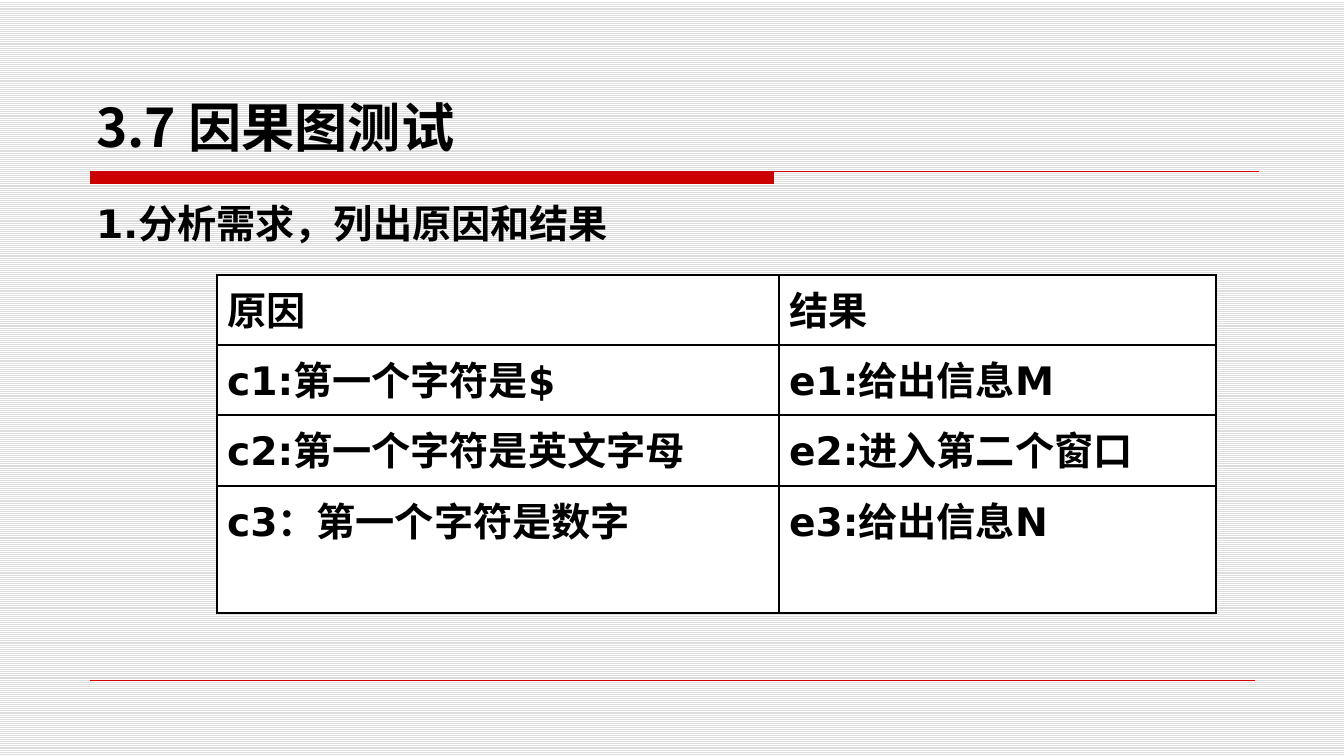
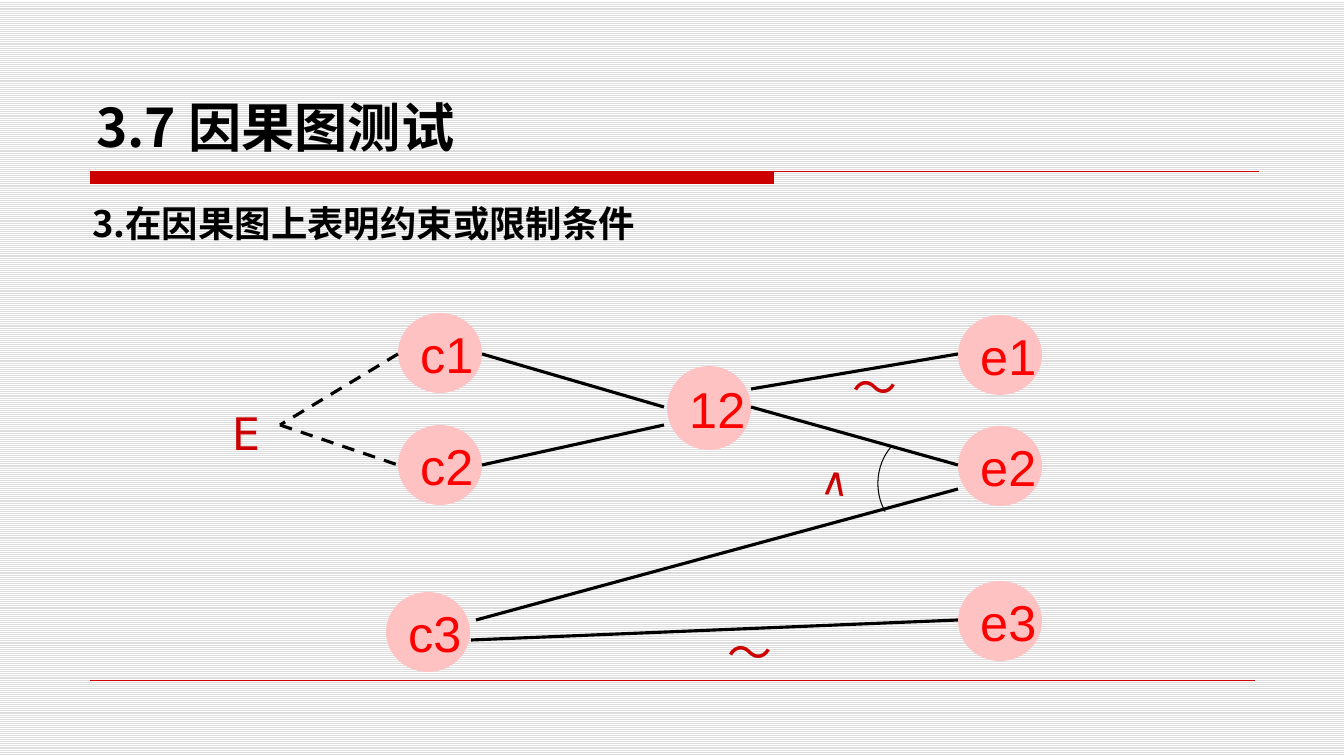
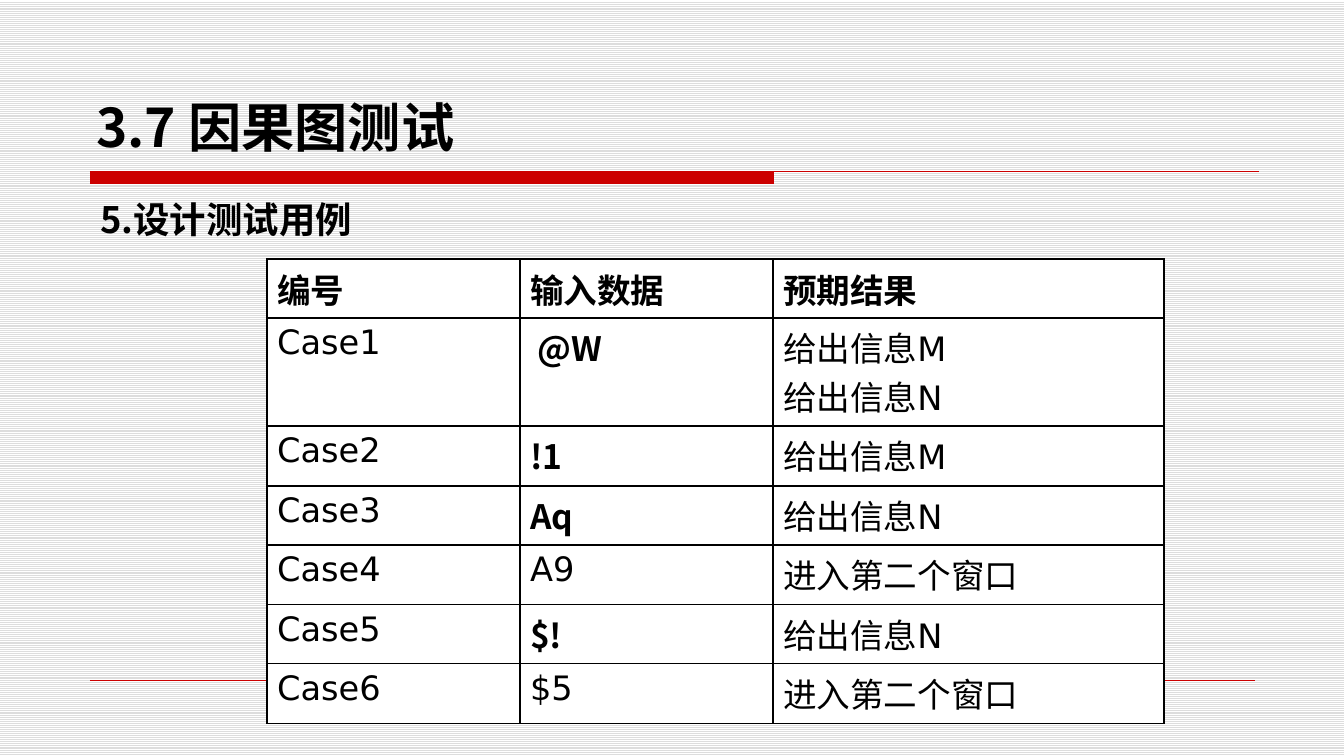
from pptx import Presentation
from pptx.dml.color import RGBColor
from pptx.enum.dml import MSO_LINE, MSO_PATTERN
from pptx.enum.shapes import MSO_CONNECTOR, MSO_SHAPE
from pptx.enum.text import MSO_ANCHOR, MSO_AUTO_SIZE, PP_ALIGN
from pptx.oxml import parse_xml
from pptx.oxml.ns import nsdecls
from pptx.util import Pt
from lxml.etree import SubElement
from pptx.oxml.ns import qn

PX = 9071
HUES = {"ink": "000000", "red": "CC0000", "node": "FFC2C2", "name": "FF0000",
        "paper": "FFFFFF", "stripe": "DDDDDD"}
HUE = {key: RGBColor.from_string(code) for key, code in HUES.items()}
CJK, LATIN, ARIAL = "Noto Sans CJK SC", "DejaVu Sans", "Arial"


def ink(frame, size, face, hue="ink", bold=False):
    for para in frame.paragraphs:
        for run in para.runs:
            font = run.font
            font.size, font.bold = Pt(size), bold
            font.color.rgb = HUE[hue]
            font.name = face
            SubElement(run._r.get_or_add_rPr(), qn("a:ea")).set("typeface", CJK)


def line(shapes, ends, hue, width):
    stroke = shapes.add_connector(MSO_CONNECTOR.STRAIGHT, *(v * PX for v in ends))
    stroke.line.color.rgb = HUE[hue]
    stroke.line.width = Pt(width)
    SubElement(stroke.element.spPr, qn("a:effectLst"))
    return stroke


deck = Presentation()
deck.slide_width, deck.slide_height = 1344 * PX, 756 * PX
layout = deck.slide_layouts[1]
for holder in list(layout.placeholders)[2:]:
    holder.element.getparent().remove(holder.element)

back = deck.slide_master.background.fill
back.patterned()
back.pattern = MSO_PATTERN.LIGHT_HORIZONTAL
back.fore_color.rgb = HUE["stripe"]
back.back_color.rgb = HUE["paper"]

heads = [
    ("1.分析需求，列出原因和结果", (86, 180, 1171, 557), 28, LATIN),
    ("3.在因果图上表明约束或限制条件", (82, 183, 869, 557), 26, CJK),
    ("5.设计测试用例", (90, 179, 869, 557), 26, CJK),
]
for text, box, size, face in heads:
    slide = deck.slides.add_slide(layout)
    title, body = slide.placeholders
    title.left, title.top, title.width, title.height = (v * PX for v in (86, 29, 882, 134))
    frame = title.text_frame
    frame.text = "3.7 因果图测试"
    frame.vertical_anchor = MSO_ANCHOR.BOTTOM
    frame.auto_size = MSO_AUTO_SIZE.NONE
    frame.paragraphs[0].alignment = PP_ALIGN.LEFT
    ink(frame, 38, CJK, bold=True)

    body.left, body.top, body.width, body.height = (v * PX for v in box)
    frame = body.text_frame
    frame.text = text
    frame.auto_size = MSO_AUTO_SIZE.NONE
    para = frame.paragraphs[0]
    para.alignment = PP_ALIGN.JUSTIFY
    para.line_spacing = 1.3
    para.space_before = Pt(size * 0.2)
    props = para._p.get_or_add_pPr()
    props.set("marL", "0")
    props.set("indent", "0")
    SubElement(props, qn("a:buNone"))
    ink(frame, size, face, bold=True)

needs, graph, cases = deck.slides

band = needs.shapes.add_shape(MSO_SHAPE.RECTANGLE, *(v * PX for v in (90, 172, 684, 12)))
band.shadow.inherit = False
band.fill.solid()
band.fill.fore_color.rgb = HUE["red"]
band.line.fill.background()
rule = line(needs.shapes, (90, 172, 1259, 172), "red", 0.75)
foot = line(needs.shapes, (90, 680, 1255, 680), "red", 0.25)
for part in (band, rule, foot):
    layout.shapes.element.append(part.element)

causes = [
    ("原因", "结果"),
    ("c1:第一个字符是$", "e1:给出信息M"),
    ("c2:第一个字符是英文字母", "e2:进入第二个窗口"),
    ("c3：第一个字符是数字", "e3:给出信息N"),
]
tests = [
    ("编号", "输入数据", "预期结果"),
    ("Case1", " @W", "给出信息M\n给出信息N"),
    ("Case2", "!1", "给出信息M"),
    ("Case3", "Aq", "给出信息N"),
    ("Case4", "A9", "进入第二个窗口"),
    ("Case5", "$!", "给出信息N"),
    ("Case6", "$5", "进入第二个窗口"),
]
strong = (" @W", "!1", "Aq", "$!")
grids = [
    (needs, causes, (217, 275), (562, 437), (70, 70, 71, 127), 28),
    (cases, tests, (267, 259), (253, 253, 391), (59, 108, 60, 59, 60, 59, 60), 24),
]
for slide, rows, (left, top), wides, highs, size in grids:
    table = slide.shapes.add_table(len(rows), len(wides), left * PX, top * PX,
                                   sum(wides) * PX, sum(highs) * PX).table
    table.first_row = table.horz_banding = False
    for col, wide in zip(table.columns, wides):
        col.width = wide * PX
    for r, (row, high) in enumerate(zip(rows, highs)):
        table.rows[r].height = high * PX
        for c, text in enumerate(row):
            cell = table.cell(r, c)
            cell.text_frame.text = text
            cell.fill.solid()
            cell.fill.fore_color.rgb = HUE["paper"]
            bold = slide is needs or r == 0 or text in strong
            ink(cell.text_frame, size, CJK if text in strong else LATIN, bold=bold)
            props = cell._tc.get_or_add_tcPr()
            for n, side in enumerate("LRTB"):
                props.insert(n, parse_xml(
                    f'<a:ln{side} {nsdecls("a")} w="12700"><a:solidFill>'
                    f'<a:srgbClr val="{HUES["ink"]}"/></a:solidFill></a:ln{side}>'))

nodes = [
    ("c1", 398, 313, 80), ("c2", 398, 425, 80), ("c3", 386, 592, 80),
    ("12", 667, 366, 84),
    ("e1", 958, 315, 80), ("e2", 958, 426, 80), ("e3", 958, 581, 80),
]
for name, left, top, high in nodes:
    node = graph.shapes.add_shape(MSO_SHAPE.OVAL, left * PX, top * PX, 84 * PX, high * PX)
    node.shadow.inherit = False
    node.fill.solid()
    node.fill.fore_color.rgb = HUE["node"]
    node.line.fill.background()
    frame = node.text_frame
    frame.text = name
    frame.word_wrap = False
    frame.vertical_anchor = MSO_ANCHOR.MIDDLE
    frame.paragraphs[0].alignment = PP_ALIGN.LEFT
    ink(frame, 36, ARIAL, "name")

links = [
    (482, 354, 664, 407), (482, 465, 664, 425),
    (958, 354, 751, 389), (958, 465, 751, 407),
    (476, 620, 958, 489), (471, 640, 958, 620),
]
for ends in links:
    line(graph.shapes, ends, "ink", 2.25)
for ends in ((398, 354, 280, 425), (280, 425, 398, 465)):
    line(graph.shapes, ends, "ink", 2.25).line.dash_style = MSO_LINE.DASH

arc = graph.shapes.add_shape(MSO_SHAPE.ARC, *(v * PX for v in (878, 433, 85, 101)))
arc.shadow.inherit = False
arc.adjustments[0], arc.adjustments[1] = 84.85, 140.21
arc.fill.background()
arc.line.color.rgb = HUE["ink"]
arc.line.width = Pt(0.75)

marks = [
    ("E", (222, 401, 101, 65), 32, 0),
    ("～", (718, 620, 93, 65), 32, 0),
    ("～", (843, 355, 93, 65), 32, 0),
    ("∨", (801, 460, 58, 57), 28, 185.7),
]
for text, box, size, turn in marks:
    mark = graph.shapes.add_textbox(*(v * PX for v in box))
    mark.rotation = turn
    frame = mark.text_frame
    frame.text = text
    frame.word_wrap = True
    frame.auto_size = MSO_AUTO_SIZE.SHAPE_TO_FIT_TEXT
    ink(frame, size, LATIN, "red")

deck.save("out.pptx")
